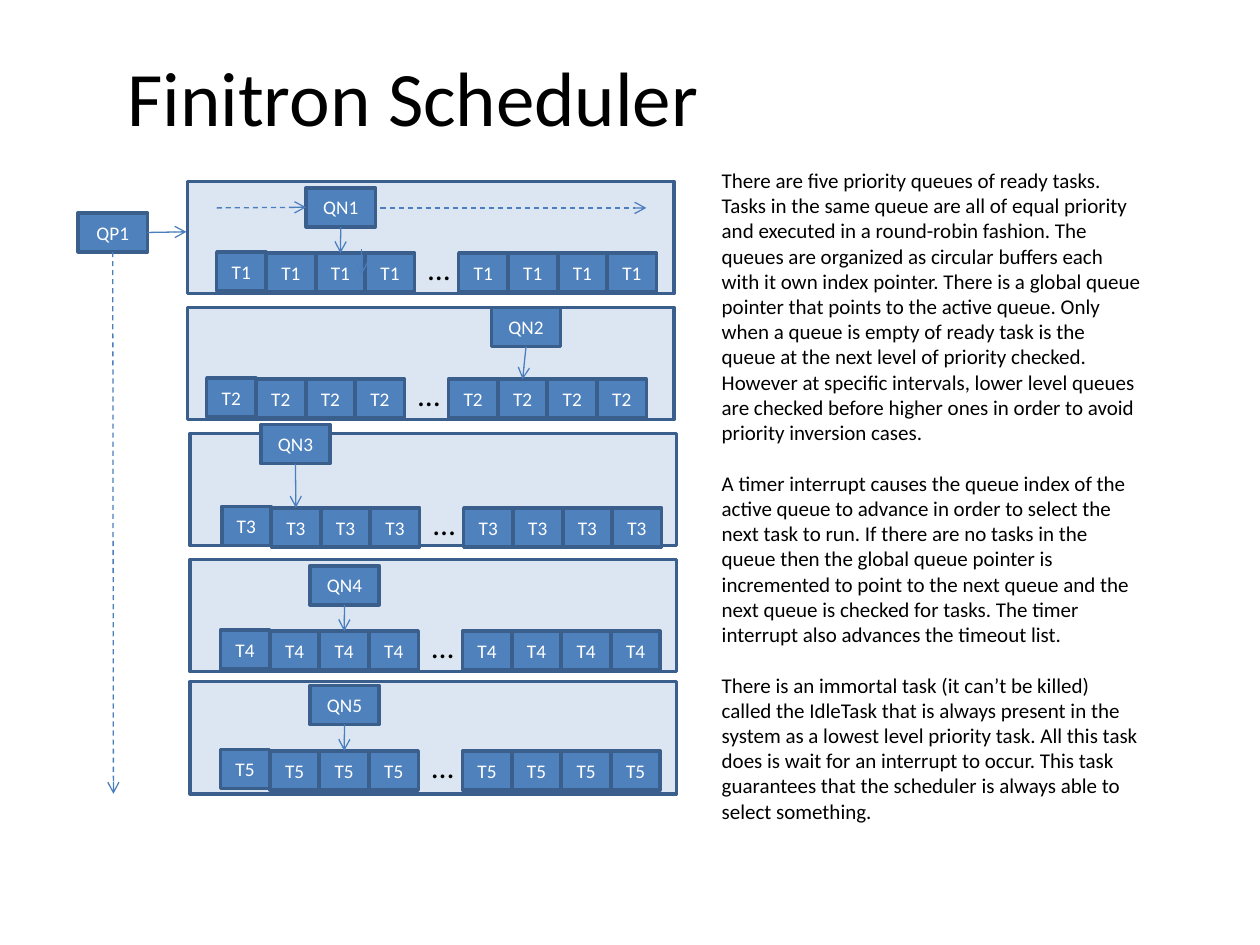
from dataclasses import dataclass

from lxml import etree
from pptx import Presentation
from pptx.dml import color
from pptx.enum import dml, shapes, text
from pptx.oxml import ns
from pptx.util import Inches, Pt

FONT = "Calibri"
BLUE, EDGE, PALE, WIRE = "4F81BD", "3A5F8C", "DCE6F2", "4B7EBC"
BLACK, WHITE = "000000", "FFFFFF"
PANEL_W, PANEL_H = 3.86, 0.89
TASK_W, BOX_H = 0.39, 0.31
INDEX_W = 0.55
STEP = 1.18 / 3  # four tasks span three steps
HALF = 1.92  # from the first task to the fifth


@dataclass
class Queue:
    """One priority level; lengths in inches, `aim` is the task pointed at."""
    panel_x: float
    panel_y: float
    task_x: float
    task_y: float
    index_x: float
    index_y: float
    aim: int


QUEUES = [
    Queue(1.49, 1.44, 1.72, 2.00, 2.43, 1.49, 2),
    Queue(1.49, 2.44, 1.64, 3.00, 3.90, 2.44, 5),
    Queue(1.51, 3.44, 1.76, 4.02, 2.07, 3.37, 1),
    Queue(1.51, 4.44, 1.75, 5.00, 2.46, 4.49, 2),
    Queue(1.51, 5.41, 1.75, 5.95, 2.46, 5.44, 2),
]

NOTES = [
    "There are five priority queues of ready tasks. Tasks in the same queue are "
    "all of equal priority and executed in a round-robin fashion. The queues are "
    "organized as circular buffers each with it own index pointer. There is a "
    "global queue pointer that points to the active queue. Only when a queue is "
    "empty of ready task is the queue at the next level of priority checked. "
    "However at specific intervals, lower level queues are checked before higher "
    "ones in order to avoid priority inversion cases.",
    "A timer interrupt causes the queue index of the active queue to advance in "
    "order to select the next task to run. If there are no tasks in the queue "
    "then the global queue pointer is incremented to point to the next queue and "
    "the next queue is checked for tasks. The timer interrupt also advances the "
    "timeout list.",
    "There is an immortal task (it can’t be killed) called the IdleTask that is "
    "always present in the system as a lowest level priority task. All this task "
    "does is wait for an interrupt to occur. This task guarantees that the "
    "scheduler is always able to select something.",
]


def rgb(code: str) -> color.RGBColor:
    return color.RGBColor.from_string(code)


def style(para, size: float, code: str) -> None:
    for run in para.runs:
        run.font.name = FONT
        run.font.size = Pt(size)
        run.font.color.rgb = rgb(code)


def add_box(slide, x: float, y: float, w: float, h: float,
            fill: str = BLUE, label: str = ""):
    box = slide.shapes.add_shape(shapes.MSO_SHAPE.RECTANGLE,
                                 Inches(x), Inches(y), Inches(w), Inches(h))
    box.shadow.inherit = False
    box.fill.solid()
    box.fill.fore_color.rgb = rgb(fill)
    box.line.color.rgb = rgb(EDGE)
    box.line.width = Pt(2)
    if label:
        frame = box.text_frame
        frame.text = label
        frame.vertical_anchor = text.MSO_ANCHOR.MIDDLE
        frame.paragraphs[0].alignment = text.PP_ALIGN.CENTER
        style(frame.paragraphs[0], 11, WHITE)
    return box


def add_arrow(slide, start: tuple = (0, 0), end: tuple = (0, 0),
              dash: bool = False, source=None, target=None) -> None:
    """Draw an arrow; source and target are (shape, side) pairs to join."""
    line = slide.shapes.add_connector(shapes.MSO_CONNECTOR.STRAIGHT,
                                      *map(Inches, (*start, *end)))
    if source:
        line.begin_connect(*source)
    if target:
        line.end_connect(*target)
    line.line.color.rgb = rgb(WIRE)
    line.line.width = Pt(0.75)
    if dash:
        line.line.dash_style = dml.MSO_LINE.DASH
    tail = etree.SubElement(line.line._get_or_add_ln(), ns.qn("a:tailEnd"))
    tail.set("type", "arrow")
    etree.SubElement(line._element.spPr, ns.qn("a:effectLst"))


def add_text(slide, x: float, y: float, w: float, h: float,
             paras: list[str], size: float, wrap: bool) -> None:
    box = slide.shapes.add_textbox(Inches(x), Inches(y), Inches(w), Inches(h))
    frame = box.text_frame
    frame.word_wrap = wrap
    frame.auto_size = text.MSO_AUTO_SIZE.SHAPE_TO_FIT_TEXT
    frame.text = "\n".join(paras)
    for i, para in enumerate(frame.paragraphs):
        if i:
            para.space_before = Pt(14.6)
        style(para, size, BLACK)


def add_queue(slide, level: int, queue: Queue):
    """Draw the tasks and index of a queue, and return the index box."""
    tasks = []
    for i in range(8):
        half, place = divmod(i, 4)
        x = queue.task_x + half * HALF + place * STEP
        y = queue.task_y + (0.01 if i else 0)
        tasks.append(add_box(slide, x, y, TASK_W, BOX_H, label=f"T{level}"))
    index = add_box(slide, queue.index_x, queue.index_y, INDEX_W, BOX_H,
                    label=f"QN{level}")
    add_text(slide, queue.task_x + 1.58, queue.task_y - 0.07, 0.38, 0.4,
             ["…"], 18, False)
    add_arrow(slide, source=(index, 2), target=(tasks[queue.aim], 0))
    return index


def main() -> None:
    deck = Presentation()
    deck.slide_width, deck.slide_height = Inches(10), Inches(7.5)
    slide = deck.slides.add_slide(deck.slide_layouts[5])

    title = slide.shapes.title
    title.left, title.top = Inches(0.91), Inches(0.29)
    title.width, title.height = Inches(8.5), Inches(0.94)
    title.text_frame.text = "Finitron Scheduler"
    title.text_frame.vertical_anchor = text.MSO_ANCHOR.MIDDLE
    title.text_frame.paragraphs[0].alignment = text.PP_ALIGN.LEFT
    style(title.text_frame.paragraphs[0], 44, BLACK)

    for queue in reversed(QUEUES):
        add_box(slide, queue.panel_x, queue.panel_y, PANEL_W, PANEL_H, PALE)
    heads = [add_queue(slide, n, queue) for n, queue in enumerate(QUEUES, 1)]
    add_arrow(slide, (2.87, 1.98), (2.87, 2.18))

    active = add_box(slide, 0.62, 1.69, INDEX_W, BOX_H, label="QP1")
    add_arrow(slide, end=(1.48, 1.84), source=(active, 3))
    add_text(slide, 5.63, 1.28, 3.54, 5.35, NOTES, 12, True)
    add_arrow(slide, (3.02, 1.65), (5.13, 1.65), dash=True)
    add_arrow(slide, (1.72, 1.65), dash=True, target=(heads[0], 1))
    add_arrow(slide, end=(0.9, 6.3), dash=True, source=(active, 2))

    deck.save("out.pptx")


if __name__ == "__main__":
    main()
